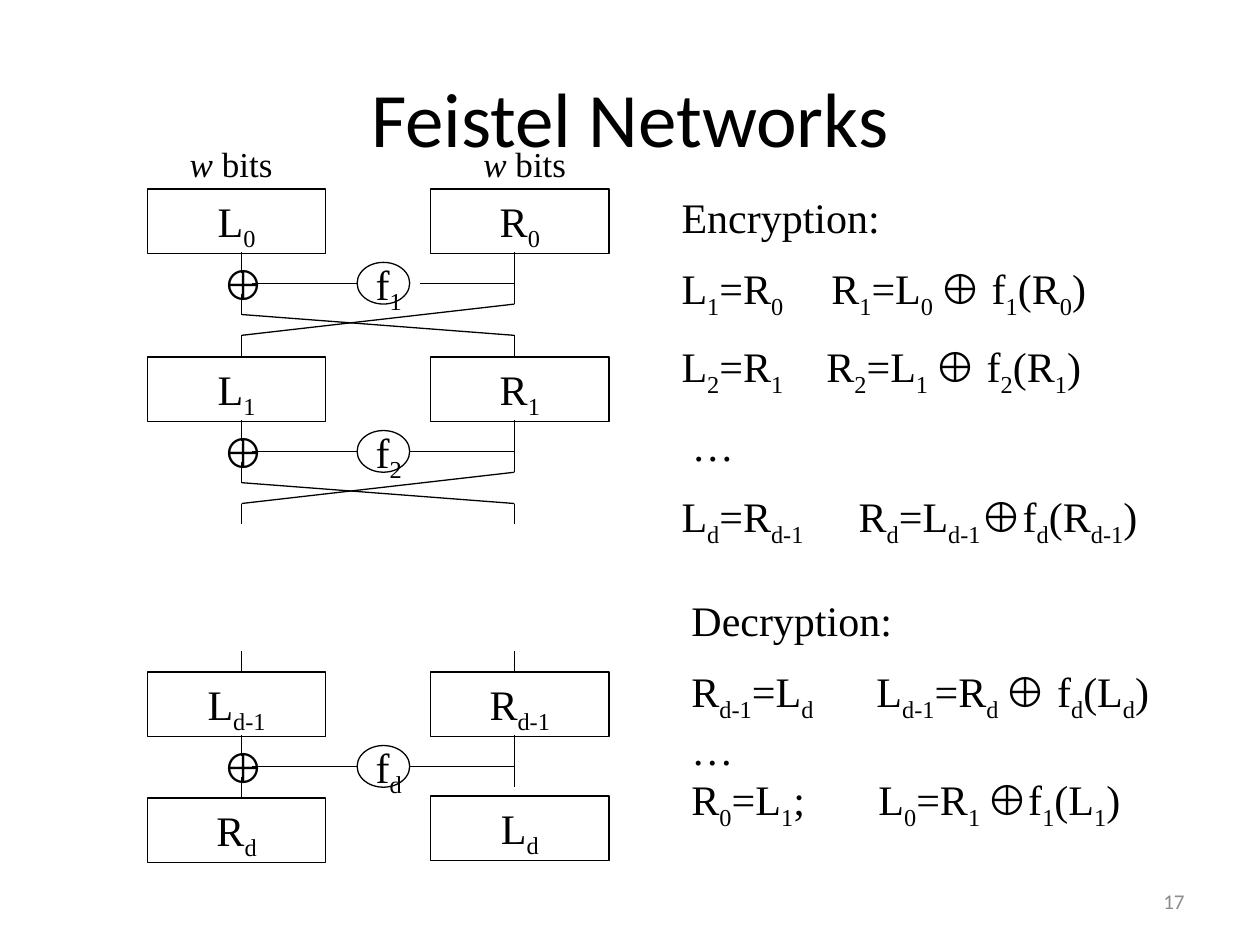
from pptx import Presentation
from pptx.dml.color import RGBColor
from pptx.enum.shapes import MSO_CONNECTOR, MSO_SHAPE
from pptx.enum.text import MSO_ANCHOR, PP_ALIGN
from pptx.oxml.ns import qn
from pptx.util import Cm, Pt
from lxml.etree import SubElement

SERIF, SANS = "Times New Roman", "Calibri"
BLACK, GREY = "000000", "8C8C8C"
LEFT_BOX, RIGHT_BOX = 2.97, 8.68      # left edges of the two block columns
LEFT_WIRE, RIGHT_WIRE = 4.87, 10.37   # vertical wires below the blocks
F_LEFT, F_WIDTH = 7.2, 1.06           # round function bubble
BOX_W, BOX_H = 3.6, 1.3
STEP = 0.42                           # vertical unit inside a round


def color(value):
    return RGBColor.from_string(value)


def add_runs(p, text, size=24, font=SERIF, rgb=BLACK):
    """Add text whose [bracketed] parts are subscripts and *starred* parts italic."""
    for i, part in enumerate(text.replace("]", "[").split("[")):
        for j, piece in enumerate(part.split("*")):
            if not piece:
                continue
            r = p.add_run()
            r.text = piece
            r.font.size, r.font.name = Pt(size), font
            r.font.color.rgb = color(rgb)
            if j % 2:
                r.font.italic = True
            if i % 2:
                r._r.get_or_add_rPr().set("baseline", "-25000")


def add_text(s, box, text, align=PP_ALIGN.CENTER, anchor=MSO_ANCHOR.TOP, **style):
    tf = s.shapes.add_textbox(*map(Cm, box)).text_frame
    tf.word_wrap = True
    tf.vertical_anchor = anchor
    p = tf.paragraphs[0]
    p.alignment = align
    add_runs(p, text, **style)


def add_outline(s, kind, box):
    sp = s.shapes.add_shape(kind, *map(Cm, box))
    sp.shadow.inherit = False
    sp.fill.background()
    sp.line.color.rgb = color(BLACK)
    sp.line.width = Pt(0.75)
    return sp


def add_block(s, left, top, label):
    tf = add_outline(s, MSO_SHAPE.RECTANGLE, (left, top, BOX_W, BOX_H)).text_frame
    tf.word_wrap = True
    tf.vertical_anchor = MSO_ANCHOR.TOP
    tf.paragraphs[0].alignment = PP_ALIGN.CENTER
    add_runs(tf.paragraphs[0], label)


def add_wire(s, x1, y1, x2, y2):
    c = s.shapes.add_connector(MSO_CONNECTOR.STRAIGHT, *map(Cm, (x1, y1, x2, y2)))
    c.line.color.rgb = color(BLACK)
    c.line.width = Pt(0.75)
    SubElement(c._element.spPr, qn("a:effectLst"))


def add_round(s, top, index, left_label, right_label, f_wire_end=F_LEFT + F_WIDTH,
              crossed=True):
    add_block(s, LEFT_BOX, top, left_label)
    add_block(s, RIGHT_BOX, top, right_label)

    def y(steps):
        return top + 1.27 + steps * STEP

    # Wires into and out of the XOR, and through the round function
    add_wire(s, RIGHT_WIRE, y(0), RIGHT_WIRE, y(2.5))
    add_wire(s, RIGHT_WIRE, y(1.5), f_wire_end, y(1.5))
    add_wire(s, 5.08, y(1.5), F_LEFT, y(1.5))
    add_wire(s, LEFT_WIRE, y(0), LEFT_WIRE, y(1))
    add_wire(s, LEFT_WIRE, y(2), LEFT_WIRE, y(3))
    add_outline(s, MSO_SHAPE.OVAL, (F_LEFT, y(0.5), F_WIDTH, 2 * STEP))
    add_text(s, (F_LEFT, y(0), 1.27, 1.27), f"f[{index}]")
    add_text(s, (4.23, y(0), 1.27, 1.27), "⊕")

    # Swap of the two halves
    if crossed:
        add_wire(s, RIGHT_WIRE, y(2.5), LEFT_WIRE, y(4))
        add_wire(s, LEFT_WIRE, y(3), RIGHT_WIRE, y(4))
        for x in (LEFT_WIRE, RIGHT_WIRE):
            add_wire(s, x, y(4), x, y(5))


def add_equations(s, box, lines):
    """Each line is (text, tab position in cm, left indent in cm, space before in pt)."""
    tf = s.shapes.add_textbox(*map(Cm, box)).text_frame
    tf.word_wrap = True
    for i, (text, tab, indent, before) in enumerate(lines):
        p = tf.paragraphs[0] if i == 0 else tf.add_paragraph()
        pPr = p._p.get_or_add_pPr()
        if indent:
            pPr.set("marL", str(Cm(indent)))
            pPr.set("indent", "0")
        if before:
            p.space_before = Pt(before)
        if tab:
            tabs = SubElement(pPr, qn("a:tabLst"))
            SubElement(tabs, qn("a:tab"), pos=str(Cm(tab)), algn="l")
        add_runs(p, text)


def main():
    prs = Presentation()
    prs.slide_width, prs.slide_height = Cm(25.4), Cm(19.05)
    s = prs.slides.add_slide(prs.slide_layouts[6])

    # Title and slide number
    add_text(s, (1.27, 0.76, 22.86, 3.18), "Feistel Networks",
             anchor=MSO_ANCHOR.MIDDLE, size=44, font=SANS)
    add_text(s, (18.2, 17.66, 5.93, 1.01), "17", align=PP_ALIGN.RIGHT,
             anchor=MSO_ANCHOR.MIDDLE, size=12, font=SANS, rgb=GREY)

    # Network diagram
    for left in (2.97, 8.89):
        add_text(s, (left, 2.74, 3.38, 1.1), "*w* bits", size=20)
    add_round(s, 3.81, "1", "L[0]", "R[0]", f_wire_end=8.47)
    add_round(s, 7.2, "2", "L[1]", "R[1]")
    for x in (LEFT_WIRE, RIGHT_WIRE):
        add_wire(s, x, 13.12, x, 13.55)
    add_round(s, 13.55, "d", "L[d-1]", "R[d-1]", crossed=False)
    add_block(s, LEFT_BOX, 16.09, "R[d]")
    add_block(s, RIGHT_BOX, 16.05, "L[d]")

    # Equations
    add_equations(s, (13.49, 3.73, 10.8, 7.44), [
        ("Encryption:", 0, 0, 0),
        ("L[1]=R[0]\tR[1]=L[0 ]⊕ f[1](R[0])", 3.02, 0, 12),
        ("L[2]=R[1]\tR[2]=L[1 ]⊕ f[2](R[1])", 2.92, 0, 12),
        ("…", 0, 0.21, 12),
        ("L[d]=R[d-1]\tR[d]=L[d-1]⊕f[d](R[d-1])", 3.57, 0, 12),
    ])
    add_equations(s, (13.69, 11.86, 11.2, 4.88), [
        ("Decryption:", 0, 0, 0),
        ("R[d-1]=L[d]\tL[d-1]=R[d ]⊕ f[d](L[d])", 3.73, 0, 12),
        ("…", 0, 0, 0),
        ("R[0]=L[1];\tL[0]=R[1 ]⊕f[1](L[1])", 3.77, 0, 0),
    ])

    prs.save("out.pptx")


if __name__ == "__main__":
    main()
